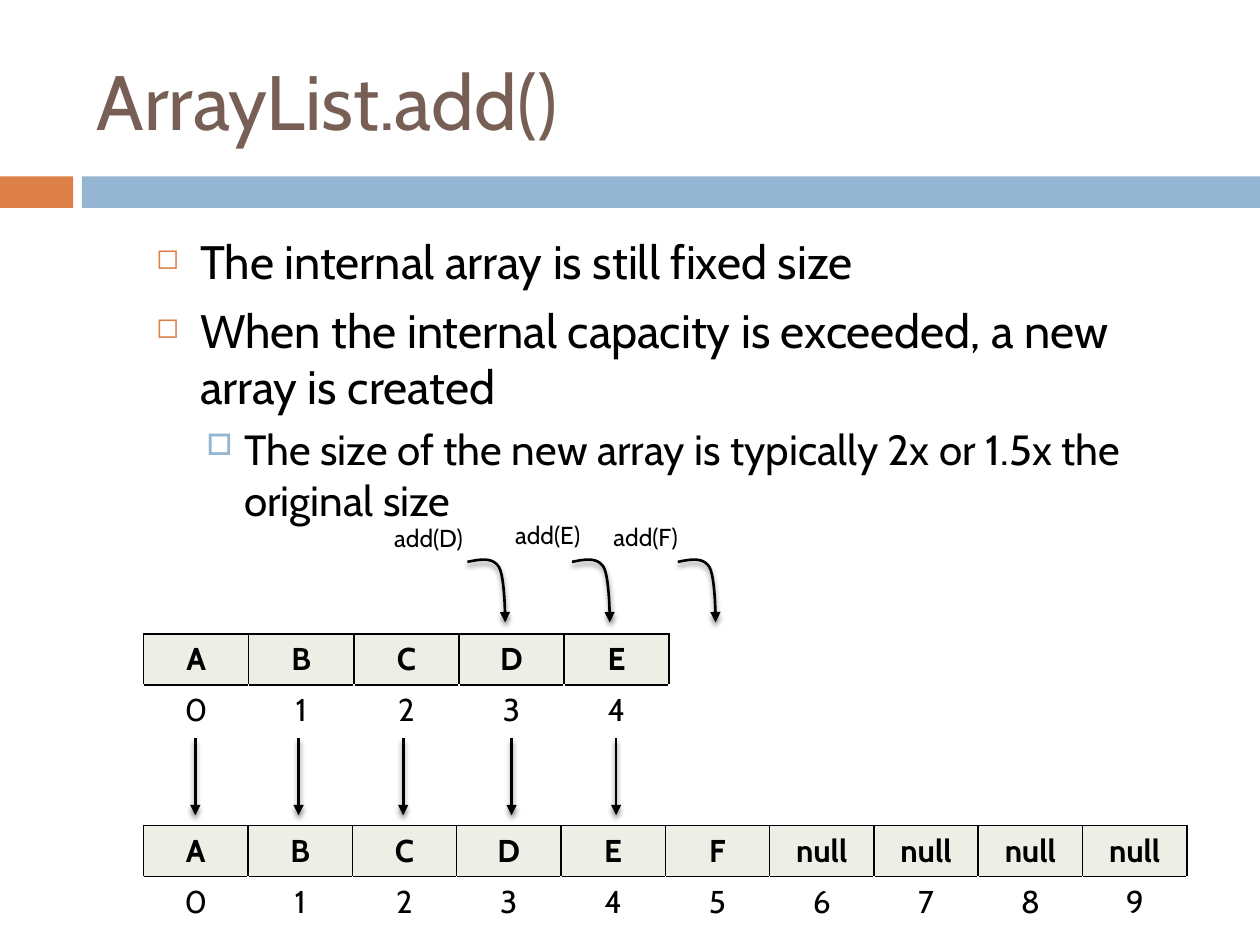
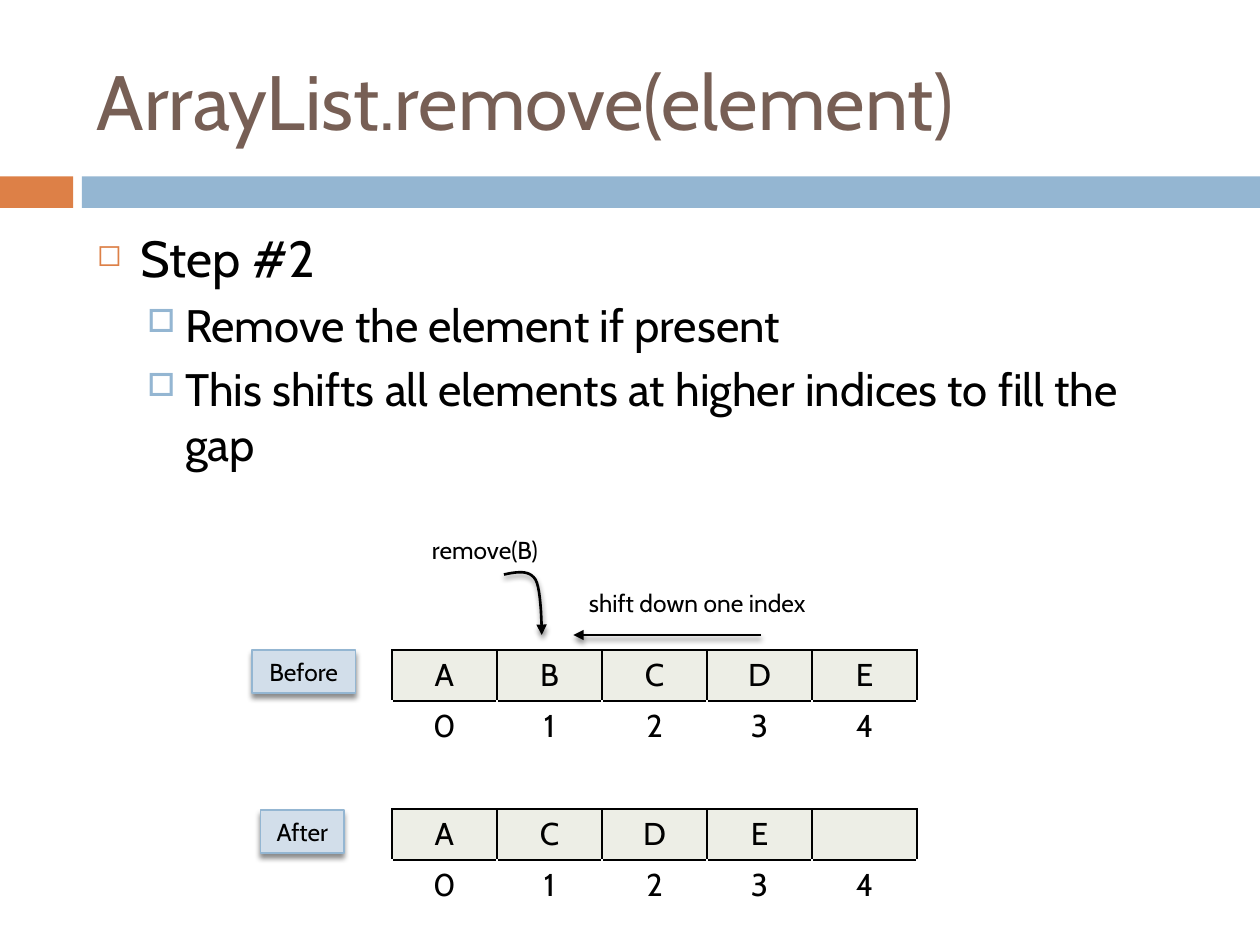
from lxml.etree import SubElement
from pptx import Presentation
from pptx.dml.color import RGBColor
from pptx.enum.shapes import MSO_CONNECTOR, MSO_SHAPE
from pptx.enum.text import MSO_ANCHOR, MSO_AUTO_SIZE, PP_ALIGN
from pptx.oxml.ns import qn
from pptx.util import Inches, Pt

FONT = "Cabin"
BLACK, BROWN, ORANGE, BLUE = "000000", "775F55", "DD8047", "94B6D2"
CELL_FILL, TAG_FILL = "EDEEE6", "D2DEEA"
BULLETS = [
    {"char": "◻", "color": ORANGE, "scale": 60, "left": 0.35, "hang": 0.35, "before": 7},
    {"char": "□", "color": BLUE, "scale": 70, "left": 0.7, "hang": 0.3, "before": 5.5},
]
HOOK = [
    [(0, 0.02), (0.1, 0), (0.2, -0.02), (0.25, 0.06)],
    [(0.25, 0.06), (0.3, 0.14), (0.3, 0.5), (0.3, 0.5)],
]
CURVE_STEPS = 12


def color(hex_code):
    return RGBColor.from_string(hex_code)


def add_element(parent, tag, **attributes):
    values = {name: str(value) for name, value in attributes.items()}
    return SubElement(parent, qn(tag), values)


def curve_point(controls, t):
    weights = ((1 - t) ** 3, 3 * t * (1 - t) ** 2, 3 * t * t * (1 - t), t ** 3)
    return tuple(sum(w * point[axis] for w, point in zip(weights, controls)) for axis in (0, 1))


class Deck:
    def __init__(self):
        self.presentation = Presentation()
        self.presentation.slide_width = Inches(10)
        self.presentation.slide_height = Inches(7.5)
        self.slide = None

    def start_slide(self, title):
        self.slide = self.presentation.slides.add_slide(self.presentation.slide_layouts[6])
        self.rectangle(0, 1.4, 0.58, 0.25, ORANGE)
        self.rectangle(0.65, 1.4, 9.35, 0.25, BLUE)
        frame = self.text_frame(0.67, 0.25, 8.92, 1.08)
        frame.vertical_anchor = MSO_ANCHOR.MIDDLE
        self.add_text(frame.paragraphs[0], title, 44, BROWN)

    def text_frame(self, left, top, width, height):
        box = self.slide.shapes.add_textbox(Inches(left), Inches(top), Inches(width), Inches(height))
        box.text_frame.word_wrap = True
        return box.text_frame

    def add_text(self, paragraph, text, size, ink=BLACK, bold=False):
        run = paragraph.add_run()
        run.text = text
        for name, value in {"name": FONT, "size": Pt(size), "bold": bold}.items():
            setattr(run.font, name, value)
        run.font.color.rgb = color(ink)

    def rectangle(self, left, top, width, height, fill):
        shape = self.slide.shapes.add_shape(
            MSO_SHAPE.RECTANGLE, Inches(left), Inches(top), Inches(width), Inches(height))
        shape.shadow.inherit = False
        shape.fill.solid()
        shape.fill.fore_color.rgb = color(fill)
        shape.line.fill.background()
        return shape

    def bullets(self, left, top, width, height, sizes, items):
        frame = self.text_frame(left, top, width, height)
        for index, (level, text) in enumerate(items):
            paragraph = frame.add_paragraph() if index else frame.paragraphs[0]
            style = BULLETS[level]
            paragraph.level = level
            paragraph.space_before = Pt(style["before"] if index else 0)
            properties = paragraph._p.get_or_add_pPr()
            properties.set("marL", str(Inches(style["left"])))
            properties.set("indent", str(-Inches(style["hang"])))
            add_element(add_element(properties, "a:buClr"), "a:srgbClr", val=style["color"])
            add_element(properties, "a:buSzPct", val=style["scale"] * 1000)
            add_element(properties, "a:buChar", char=style["char"])
            self.add_text(paragraph, text, sizes[level])

    def border(self, cell, sides):
        properties = cell._tc.get_or_add_tcPr()
        for side in sides:
            line = add_element(properties, f"a:ln{side}", w=Pt(1))
            add_element(add_element(line, "a:solidFill"), "a:srgbClr", val=BLACK)

    def array(self, left, top, width, values, bold=False):
        count = len(values)
        table = self.slide.shapes.add_table(
            2, count, Inches(left), Inches(top), Inches(width), Inches(0.81)).table
        table.first_row = table.horz_banding = False
        for row in table.rows:
            row.height = Inches(0.81 / 2)
        for index, value in enumerate(values):
            table.columns[index].width = Inches(width / count)
            element, position = table.cell(0, index), table.cell(1, index)
            self.border(element, "LRTB")
            element.fill.solid()
            element.fill.fore_color.rgb = color(CELL_FILL)
            self.border(position, "T")
            position.fill.background()
            for cell, text, weight in ((element, value, bold), (position, str(index), False)):
                paragraph = cell.text_frame.paragraphs[0]
                paragraph.alignment = PP_ALIGN.CENTER
                self.add_text(paragraph, text, 18, bold=weight)

    def drop_shadow(self, shape):
        properties = shape._element.spPr
        for empty in properties.findall(qn("a:effectLst")):
            properties.remove(empty)
        shadow = add_element(
            add_element(properties, "a:effectLst"), "a:outerShdw",
            blurRad=Pt(3), dist=Pt(2.4), dir=90 * 60000, algn="ctr", rotWithShape=0)
        add_element(add_element(shadow, "a:srgbClr", val=BLACK), "a:alpha", val=45000)

    def finish_arrow(self, shape):
        shape.line.color.rgb = color(BLACK)
        shape.line.width = Pt(1.5)
        add_element(shape.line._get_or_add_ln(), "a:tailEnd", type="triangle")
        self.drop_shadow(shape)

    def arrow(self, *ends):
        self.finish_arrow(self.slide.shapes.add_connector(
            MSO_CONNECTOR.STRAIGHT, *(Inches(end) for end in ends)))

    def hook(self, left, top):
        points = [HOOK[0][0]] + [
            curve_point(piece, step / CURVE_STEPS)
            for piece in HOOK for step in range(1, CURVE_STEPS + 1)]
        places = [(Inches(left + x), Inches(top + y)) for x, y in points]
        builder = self.slide.shapes.build_freeform(*places[0])
        builder.add_line_segments(places[1:], close=False)
        shape = builder.convert_to_shape()
        shape.fill.background()
        self.finish_arrow(shape)

    def caption(self, left, top, width, text, centered=False):
        frame = self.text_frame(left, top, width, 0.34)
        frame.word_wrap = centered
        frame.auto_size = MSO_AUTO_SIZE.SHAPE_TO_FIT_TEXT
        paragraph = frame.paragraphs[0]
        paragraph.alignment = PP_ALIGN.CENTER if centered else PP_ALIGN.LEFT
        self.add_text(paragraph, text, 14)

    def tag(self, left, top, width, text):
        shape = self.rectangle(left, top, width, 0.34, TAG_FILL)
        shape.line.color.rgb = color(BLUE)
        shape.line.width = Pt(0.79)
        self.drop_shadow(shape)
        frame = shape.text_frame
        frame.word_wrap = False
        frame.auto_size = MSO_AUTO_SIZE.SHAPE_TO_FIT_TEXT
        frame.paragraphs[0].alignment = PP_ALIGN.CENTER
        self.add_text(frame.paragraphs[0], text, 14)


def add_slide(deck):
    deck.start_slide("ArrayList.add()")
    deck.bullets(1.14, 1.8, 7.88, 2.04, (26.8, 24.1), [
        (0, "The internal array is still fixed size"),
        (0, "When the internal capacity is exceeded, a new array is created"),
        (1, "The size of the new array is typically 2x or 1.5x the original size"),
    ])
    elements = list("ABCDE")
    deck.array(1.14, 5.03, 4.17, elements, bold=True)
    deck.array(1.14, 6.55, 8.28, elements + ["F"] + ["null"] * 4, bold=True)
    for copy_x in (1.55, 2.37, 3.2, 4.06, 4.89):
        deck.arrow(copy_x, 5.86, copy_x, 6.47)
    for hook_x in (3.71, 4.54, 5.38):
        deck.hook(hook_x, 4.44)
    deck.caption(3.03, 4.1, 0.76, "add(D)")
    deck.caption(3.99, 4.08, 0.74, "add(E)")
    deck.caption(4.77, 4.09, 0.73, "add(F)")


def remove_slide(deck):
    deck.start_slide("ArrayList.remove(element)")
    deck.bullets(0.67, 1.75, 8.92, 4.92, (29, 26), [
        (0, "Step #2"),
        (1, "Remove the element if present"),
        (1, "This shifts all elements at higher indices to fill the gap"),
    ])
    deck.array(3.11, 5.16, 4.17, list("ABCDE"))
    deck.hook(4, 4.54)
    deck.caption(3.33, 4.2, 1.05, "remove(B)")
    deck.arrow(6.04, 5.04, 4.55, 5.04)
    deck.caption(4.42, 4.62, 2.23, "shift down one index", centered=True)
    deck.array(3.11, 6.42, 4.17, list("ACDE") + [""])
    deck.tag(2, 5.16, 0.82, "Before")
    deck.tag(2.07, 6.43, 0.66, "After")


def main():
    deck = Deck()
    add_slide(deck)
    remove_slide(deck)
    deck.presentation.save("out.pptx")


if __name__ == "__main__":
    main()
